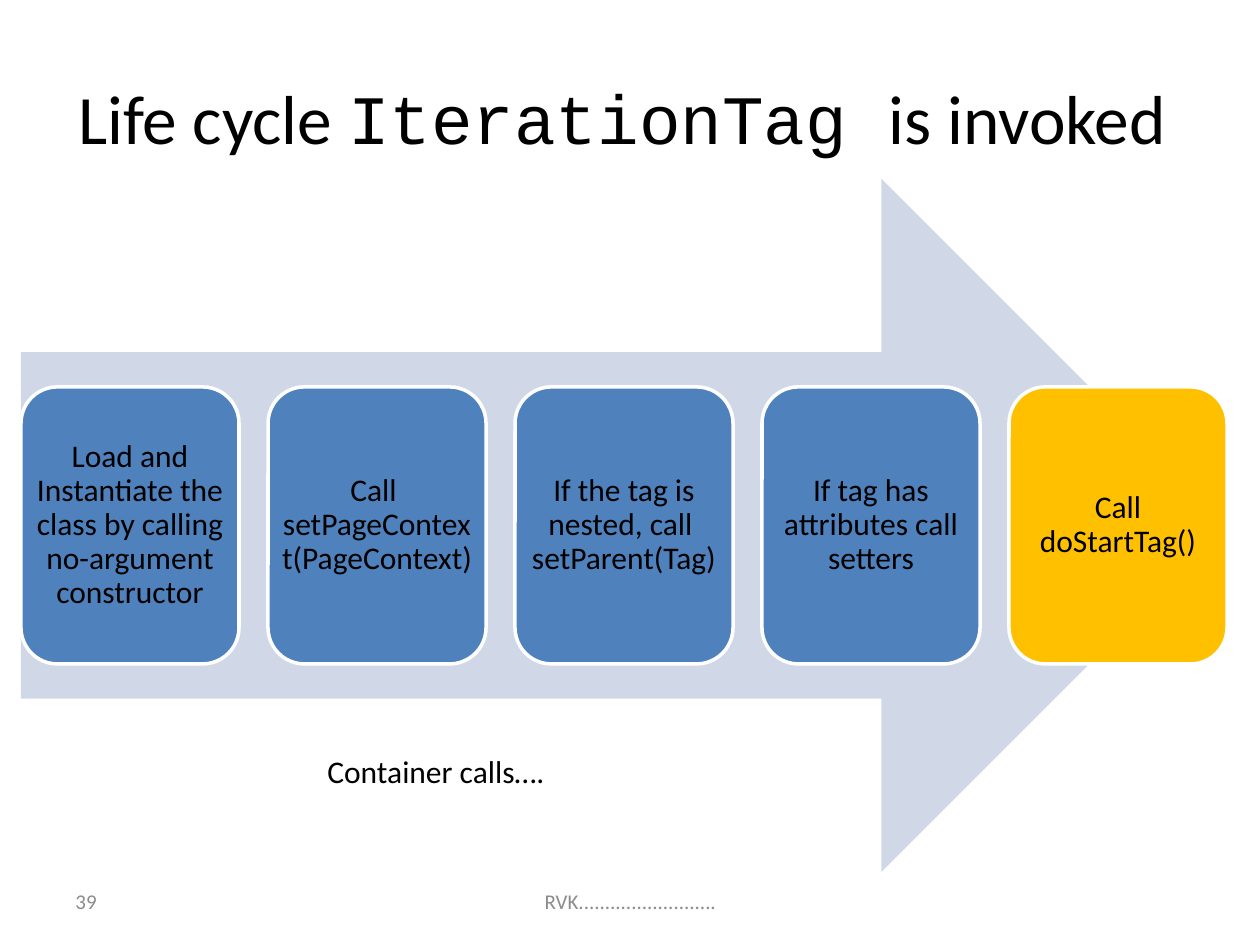
import pptx
import pptx.util
import pptx.dml.color
import pptx.enum.shapes
import pptx.enum.text

HUES = {"ink": "000000", "grey": "8C8C8C", "arrow": "D0D8E8",
        "step": "4F81BD", "last": "FFC000", "edge": "FFFFFF"}
STEPS = ["Load and Instantiate the class by calling no-argument constructor",
         "Call  setPageContext(PageContext)",
         "If the tag is nested, call  setParent(Tag)",
         "If tag has attributes call setters",
         "Call doStartTag()"]
ALIGN = pptx.enum.text.PP_ALIGN
SHAPE = pptx.enum.shapes.MSO_SHAPE


def px(n):
    return pptx.util.Emu(round(n * 914400 / 126))


def hue(name):
    return pptx.dml.color.RGBColor.from_string(HUES[name])


def write(para, text, size=18, font="Calibri", color="ink"):
    run = para.add_run()
    run.text = text
    run.font.size = pptx.util.Pt(size)
    run.font.name = font
    run.font.color.rgb = hue(color)


class Deck:
    """Holds the style and the current slide."""

    def __init__(self):
        self.prs = pptx.Presentation()
        self.prs.slide_width, self.prs.slide_height = px(1260), px(945)
        self.slide = self.prs.slides.add_slide(self.prs.slide_layouts[6])

    def shape(self, kind, box, fill, edge=None):
        item = self.slide.shapes.add_shape(kind, *map(px, box))
        item.shadow.inherit = False
        item.fill.solid()
        item.fill.fore_color.rgb = hue(fill)
        if edge:
            item.line.color.rgb = hue(edge)
            item.line.width = pptx.util.Pt(2)
        else:
            item.line.fill.background()
        return item

    def step(self, box, text, fill):
        frame = self.shape(SHAPE.ROUNDED_RECTANGLE, box, fill, "edge").text_frame
        frame.word_wrap = True
        frame.vertical_anchor = pptx.enum.text.MSO_ANCHOR.MIDDLE
        frame.margin_left = frame.margin_right = 0
        frame.margin_top = frame.margin_bottom = 0
        para = frame.paragraphs[0]
        para.alignment = ALIGN.CENTER
        para.line_spacing = 0.9
        write(para, text)

    def label(self, box, runs, align=ALIGN.LEFT):
        frame = self.slide.shapes.add_textbox(*map(px, box)).text_frame
        frame.word_wrap = True
        frame.vertical_anchor = pptx.enum.text.MSO_ANCHOR.MIDDLE
        para = frame.paragraphs[0]
        para.alignment = align
        for text, style in runs:
            write(para, text, **style)


def main():
    deck = Deck()
    small = {"size": 12, "color": "grey"}
    big = {"size": 39.6}
    code = {"size": 39.6, "font": "Courier New"}
    deck.shape(SHAPE.RIGHT_ARROW, (21, 179, 1207, 693), "arrow")
    for i, text in enumerate(STEPS):
        fill = "last" if i == len(STEPS) - 1 else "step"
        deck.step((21 + 247 * i, 387, 218, 277), text, fill)
    deck.label((63, 38, 1134, 158), [("Life cycle ", big), ("IterationTag ", code),
                                     ("is invoked ", big)], ALIGN.CENTER)
    deck.label((315, 746, 315, 50), [("Container calls….", {})])
    deck.label((63, 876, 294, 50), [("39", small)])
    deck.label((431, 876, 399, 50), [("RVK..........................", small)],
               ALIGN.CENTER)
    deck.prs.save("out.pptx")


if __name__ == "__main__":
    main()
